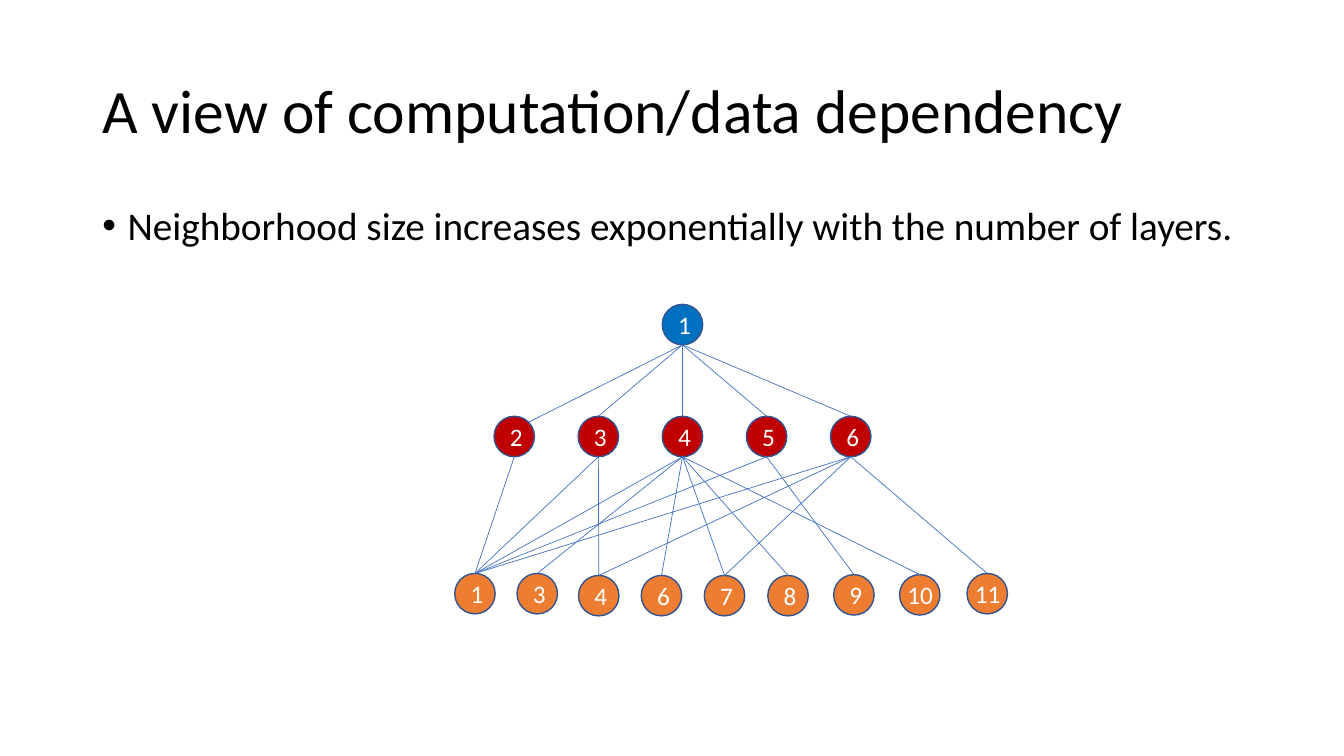
from dataclasses import dataclass

from lxml import etree
from pptx import Presentation
from pptx.dml.color import RGBColor
from pptx.enum.shapes import MSO_CONNECTOR, MSO_SHAPE
from pptx.enum.text import MSO_ANCHOR, PP_ALIGN
from pptx.oxml.ns import qn
from pptx.util import Cm, Pt

STRAIGHT = MSO_CONNECTOR.STRAIGHT
OVAL = MSO_SHAPE.OVAL
MIDDLE, TOP = MSO_ANCHOR.MIDDLE, MSO_ANCHOR.TOP
CENTER = PP_ALIGN.CENTER

FONT = "Calibri"
COLORS = {
    "text": "000000",
    "label": "FFFFFF",
    "target": "0070C0",
    "hop1": "C00000",
    "hop2": "ED7D31",
    "outline": "325491",
    "edge": "4472C4",
}
DIAMETER = 1.02
MID_X = 17.2
HOP1_GAP = 2.12


@dataclass(frozen=True)
class Node:
    label: str
    x: float  # centre, cm
    top: float  # cm
    color: str

    @property
    def bottom(self) -> float:
        return self.top + DIAMETER


# Three layers of the dependency tree
TARGET = Node("1", MID_X, 7.67, "target")
HOP1 = {n: Node(str(n), MID_X + (n - 4) * HOP1_GAP, 10.49, "hop1")
        for n in range(2, 7)}
HOP2 = {n: Node(str(n), x, top, "hop2") for n, x, top in [
    (1, 11.97, 14.45), (3, 13.54, 14.45), (4, 15.09, 14.5),
    (6, 16.67, 14.5), (7, 18.26, 14.5), (8, 19.86, 14.5),
    (9, 21.52, 14.48), (10, 23.18, 14.48), (11, 24.88, 14.45),
]}
NEIGHBORS = {
    2: [1],
    3: [1, 4],
    4: [1, 3, 6, 7, 8, 10],
    5: [1, 9],
    6: [1, 4, 7, 11],
}


def rgb(name: str) -> RGBColor:
    return RGBColor.from_string(COLORS[name])


def style_text(p, size: float, color: str) -> None:
    for r in p.runs:
        r.font.name = FONT
        r.font.size = Pt(size)
        r.font.color.rgb = rgb(color)


def add_text(shapes, text: str, box: tuple, size: float, anchor,
             bullet: bool = False) -> None:
    tf = shapes.add_textbox(*(Cm(v) for v in box)).text_frame
    tf.word_wrap = True
    tf.vertical_anchor = anchor
    p = tf.paragraphs[0]
    p.text = text
    p.line_spacing = 0.9
    if bullet:
        pPr = p._p.get_or_add_pPr()
        pPr.set("marL", str(Cm(0.64)))
        pPr.set("indent", str(-Cm(0.64)))
        etree.SubElement(pPr, qn("a:buFont")).set("typeface", "Arial")
        etree.SubElement(pPr, qn("a:buChar")).set("char", "•")
    style_text(p, size, "text")


def add_node(shapes, node: Node):
    left = node.x - DIAMETER / 2
    sp = shapes.add_shape(OVAL, Cm(left), Cm(node.top),
                          Cm(DIAMETER), Cm(DIAMETER))
    sp.shadow.inherit = False
    sp.fill.solid()
    sp.fill.fore_color.rgb = rgb(node.color)
    sp.line.color.rgb = rgb("outline")
    sp.line.width = Pt(1)
    tf = sp.text_frame
    if len(node.label) > 1:  # two digits need a wider box than the circle
        tf = shapes.add_textbox(Cm(left - 0.05), Cm(node.top),
                                Cm(1.17), Cm(DIAMETER)).text_frame
        tf.word_wrap = False
    else:
        tf.vertical_anchor = MIDDLE
        tf.paragraphs[0].alignment = CENTER
    tf.paragraphs[0].text = node.label
    style_text(tf.paragraphs[0], 18, "label")
    return sp


def add_edge(shapes, parent: Node, x: float, y: float):
    line = shapes.add_connector(STRAIGHT, Cm(parent.x), Cm(parent.bottom),
                                Cm(x), Cm(y))
    line.line.color.rgb = rgb("edge")
    line.line.width = Pt(0.5)
    etree.SubElement(line._element.spPr, qn("a:effectLst"))


def main() -> None:
    prs = Presentation()
    prs.slide_width, prs.slide_height = Cm(33.87), Cm(19.05)
    s = prs.slides.add_slide(prs.slide_layouts[6])

    # Title and statement
    add_text(s.shapes, "A view of computation/data dependency",
             (2.33, 1.01, 29.21, 3.68), 44, MIDDLE)
    add_text(s.shapes, "Neighborhood size increases exponentially with "
             "the number of layers.", (2.33, 5.07, 29.21, 12.09), 28, TOP,
             bullet=True)

    # Dependency tree
    tree = s.shapes.add_group_shape().shapes
    for node in [TARGET, *HOP1.values(), *HOP2.values()]:
        add_node(tree, node)
    for n, node in HOP1.items():
        # The leftmost edge meets its circle at the upper right
        dx, dy = (0.36, 0.15) if n == 2 else (0, 0)
        add_edge(tree, TARGET, node.x + dx, node.top + dy)
        for child in NEIGHBORS[n]:
            add_edge(tree, node, HOP2[child].x, HOP2[child].top)

    prs.save("out.pptx")


if __name__ == "__main__":
    main()
